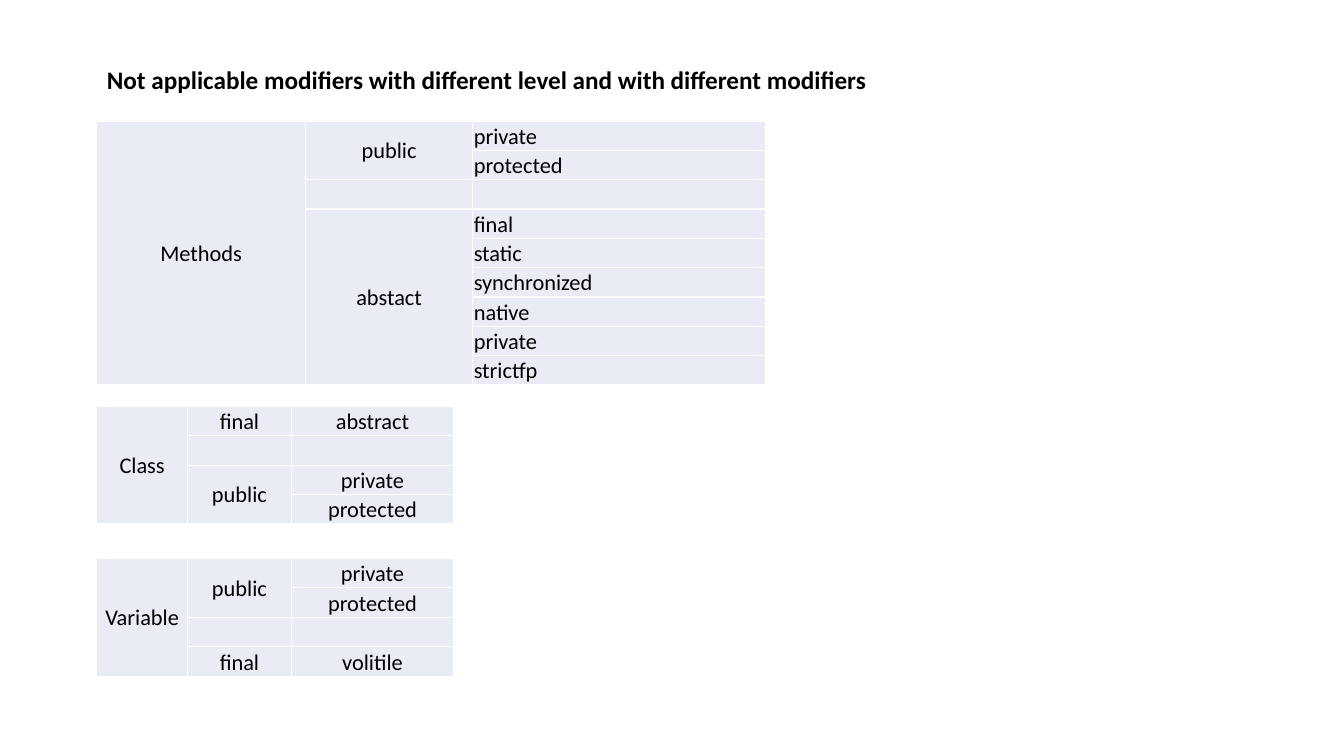
from lxml import etree
from pptx import Presentation
from pptx.dml.color import RGBColor
from pptx.enum.text import MSO_ANCHOR, MSO_AUTO_SIZE, PP_ALIGN
from pptx.oxml.ns import qn
from pptx.util import Pt

LEFT, CENTER = PP_ALIGN.LEFT, PP_ALIGN.CENTER
TOP, MIDDLE, BOTTOM = MSO_ANCHOR.TOP, MSO_ANCHOR.MIDDLE, MSO_ANCHOR.BOTTOM
GROW = MSO_AUTO_SIZE.SHAPE_TO_FIT_TEXT

PX = 9144
SIZE = (1333, 750)
EDGE = 96
FONT, INK, FILL = "Calibri", "000000", "E9EBF5"
TITLE = "Not applicable modifiers with different level and with different modifiers"
GAP = ("", [""])
TABLES = [
    ("Methods", 120, 262, (207, 166, 290), LEFT, [
        ("public", ["private", "protected"]),
        GAP,
        ("abstact", ["final", "static", "synchronized", "native", "private", "strictfp"]),
    ]),
    ("Class", 403, 117, (90, 103, 161), CENTER, [
        ("final", ["abstract"]),
        GAP,
        ("public", ["private", "protected"]),
    ]),
    ("Variable", 554, 117, (90, 103, 161), CENTER, [
        ("public", ["private", "protected"]),
        GAP,
        ("final", ["volitile"]),
    ]),
]


def color(code):
    return RGBColor.from_string(code)


def write(frame, text, size, align, bold=False):
    para = frame.paragraphs[0]
    para.alignment = align
    if not text:
        etree.SubElement(para._p, qn("a:endParaRPr"), sz=str(size * 100))
        return
    run = para.add_run()
    run.text = text
    run.font.name = FONT
    run.font.size = Pt(size)
    run.font.bold = bold
    run.font.color.rgb = color(INK)


def put(grid, row, col, span, text, align=CENTER):
    cell = grid.cell(row, col)
    if span > 1:
        cell.merge(grid.cell(row + span - 1, col))
    cell.vertical_anchor = MIDDLE if span > 1 else BOTTOM
    write(cell.text_frame, text, 16, align)


def build(slide, name, top, height, widths, align, groups):
    count = sum(len(items) for _, items in groups)
    frame = slide.shapes.add_table(
        count, len(widths), EDGE * PX, top * PX, sum(widths) * PX, height * PX)
    grid = frame.table
    grid.first_row = grid.horz_banding = False
    for col, width in zip(grid.columns, widths):
        col.width = width * PX
    for line in grid.rows:
        line.height = height * PX // count
    for cell in grid.iter_cells():
        cell.fill.solid()
        cell.fill.fore_color.rgb = color(FILL)
        cell.margin_left = cell.margin_right = cell.margin_top = PX
        cell.margin_bottom = 0
    put(grid, 0, 0, count, name)
    row = 0
    for label, items in groups:
        put(grid, row, 1, len(items), label)
        for item in items:
            put(grid, row, 2, 1, item, align)
            row += 1


def main():
    deck = Presentation()
    deck.slide_width, deck.slide_height = (side * PX for side in SIZE)
    slide = deck.slides.add_slide(deck.slide_layouts[5])
    title = slide.shapes.title
    title.left, title.top, title.width, title.height = (
        side * PX for side in (EDGE, 59, 1016, 40))
    frame = title.text_frame
    frame.word_wrap = True
    frame.auto_size = GROW
    frame.vertical_anchor = TOP
    write(frame, TITLE, 18, LEFT, True)
    for table in TABLES:
        build(slide, *table)
    deck.save("out.pptx")


if __name__ == "__main__":
    main()
